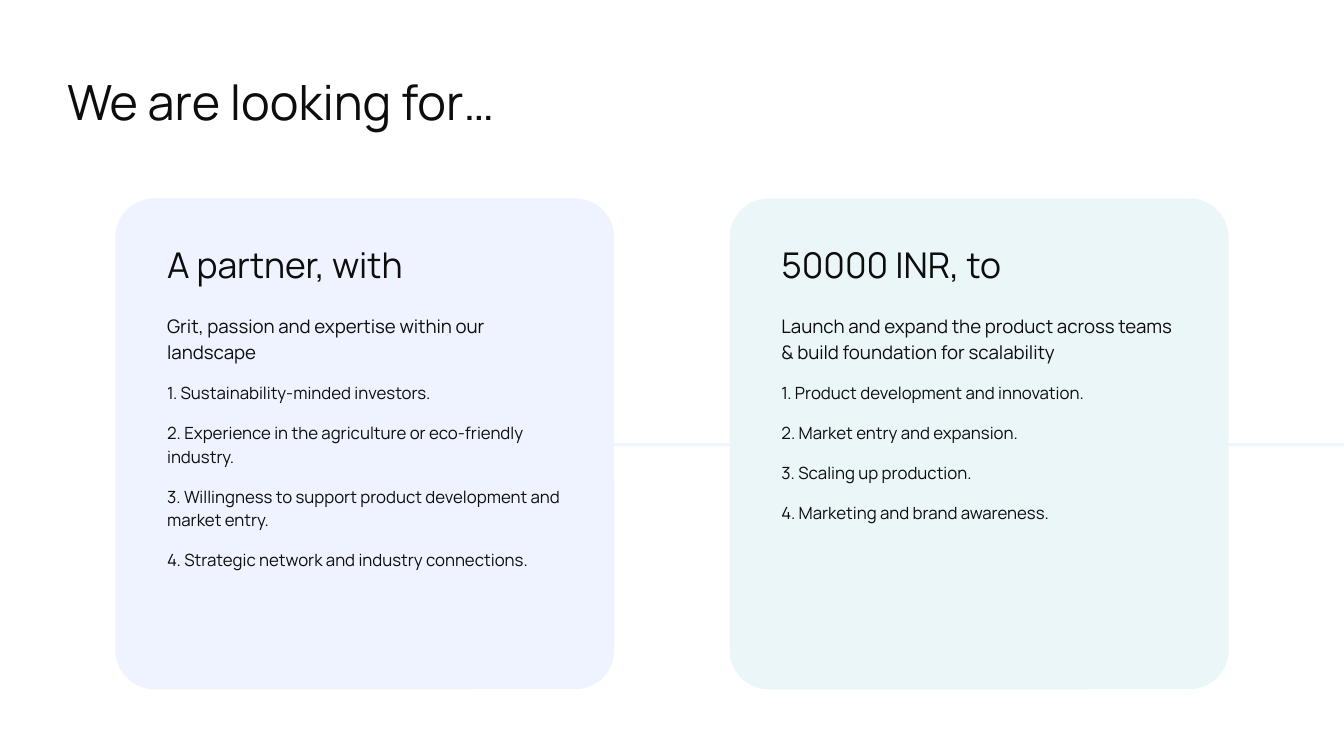
from lxml.etree import SubElement
from pptx import Presentation
from pptx.dml.color import RGBColor
from pptx.enum.shapes import MSO_CONNECTOR, MSO_SHAPE
from pptx.enum.text import MSO_ANCHOR
from pptx.oxml.ns import qn
from pptx.util import Cm, Pt

INK = RGBColor(0x0D, 0x0D, 0x0D)
LAVENDER = RGBColor(0xEF, 0xF2, 0xFF)
MINT = RGBColor(0xEB, 0xF6, 0xF8)
FONT = "Manrope"

TITLE = "We are looking for…"
CARDS = [
    ("A partner, with", LAVENDER,
     "Grit, passion and expertise within our landscape",
     ["Sustainability-minded investors.",
      "Experience in the agriculture or eco-friendly industry.",
      "Willingness to support product development and market entry.",
      "Strategic network and industry connections."]),
    ("50000 INR, to", MINT,
     "Launch and expand the product across teams & build foundation for scalability",
     ["Product development and innovation.",
      "Market entry and expansion.",
      "Scaling up production.",
      "Marketing and brand awareness."]),
]

SLIDE_W, SLIDE_H = 25.4, 14.29
CARD_W, CARD_H = 9.43, 9.28
CARD_LEFT, CARD_TOP = 2.18, 3.75
CARD_STEP = SLIDE_W - 2 * CARD_LEFT - CARD_W
PAD = 0.98
TEXT_W, TEXT_H = CARD_W - 2 * PAD, 1.45
LINE_Y = 8.4

prs = Presentation()
prs.slide_width, prs.slide_height = Cm(SLIDE_W), Cm(SLIDE_H)
s = prs.slides.add_slide(prs.slide_layouts[6])


def add_text(paragraphs, x, y, w, h, spacing=1.15, gap=0, anchor=MSO_ANCHOR.TOP):
    tf = s.shapes.add_textbox(Cm(x), Cm(y), Cm(w), Cm(h)).text_frame
    tf.word_wrap = True
    tf.vertical_anchor = anchor
    tf.margin_left = tf.margin_right = 0
    tf.margin_top = tf.margin_bottom = Cm(0.25)
    for i, (text, size) in enumerate(paragraphs):
        p = tf.add_paragraph() if i else tf.paragraphs[0]
        p.line_spacing = spacing
        p.space_before = Pt(gap if i else 0)
        r = p.add_run()
        r.text = text
        r.font.name, r.font.size = FONT, Pt(size)
        r.font.color.rgb = INK


line = s.shapes.add_connector(
    MSO_CONNECTOR.STRAIGHT, Cm(6.53), Cm(LINE_Y), Cm(SLIDE_W), Cm(LINE_Y))
line.line.color.rgb = LAVENDER
line.line.width = Pt(1.5)
SubElement(line._element.spPr, qn("a:effectLst"))

add_text([(TITLE, 26)], 1.27, 1.12, 22.86, 1.6, spacing=1.0)

for i, (heading, color, lead, items) in enumerate(CARDS):
    x = CARD_LEFT + i * CARD_STEP
    sp = s.shapes.add_shape(
        MSO_SHAPE.ROUNDED_RECTANGLE, Cm(x), Cm(CARD_TOP), Cm(CARD_W), Cm(CARD_H))
    sp.adjustments[0] = 0.08
    sp.shadow.inherit = False
    sp.fill.solid()
    sp.fill.fore_color.rgb = color
    sp.line.fill.background()

    add_text([(heading, 19)], x + PAD, 4.22, TEXT_W, TEXT_H,
             anchor=MSO_ANCHOR.MIDDLE)
    body = [(lead, 10)] + [(f"{n}. {item}", 9) for n, item in enumerate(items, 1)]
    add_text(body, x + PAD, 5.64, TEXT_W, TEXT_H, gap=9)

prs.save("out.pptx")
